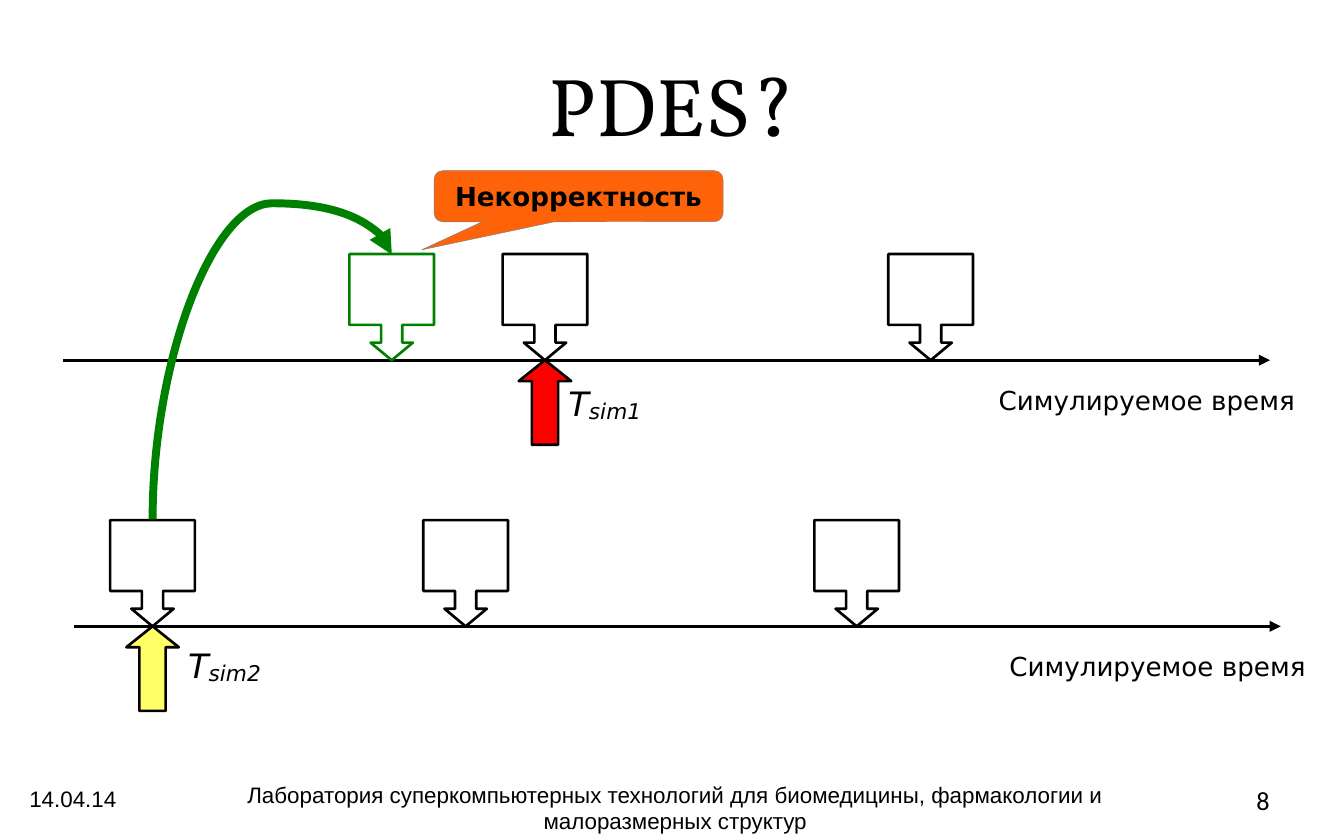
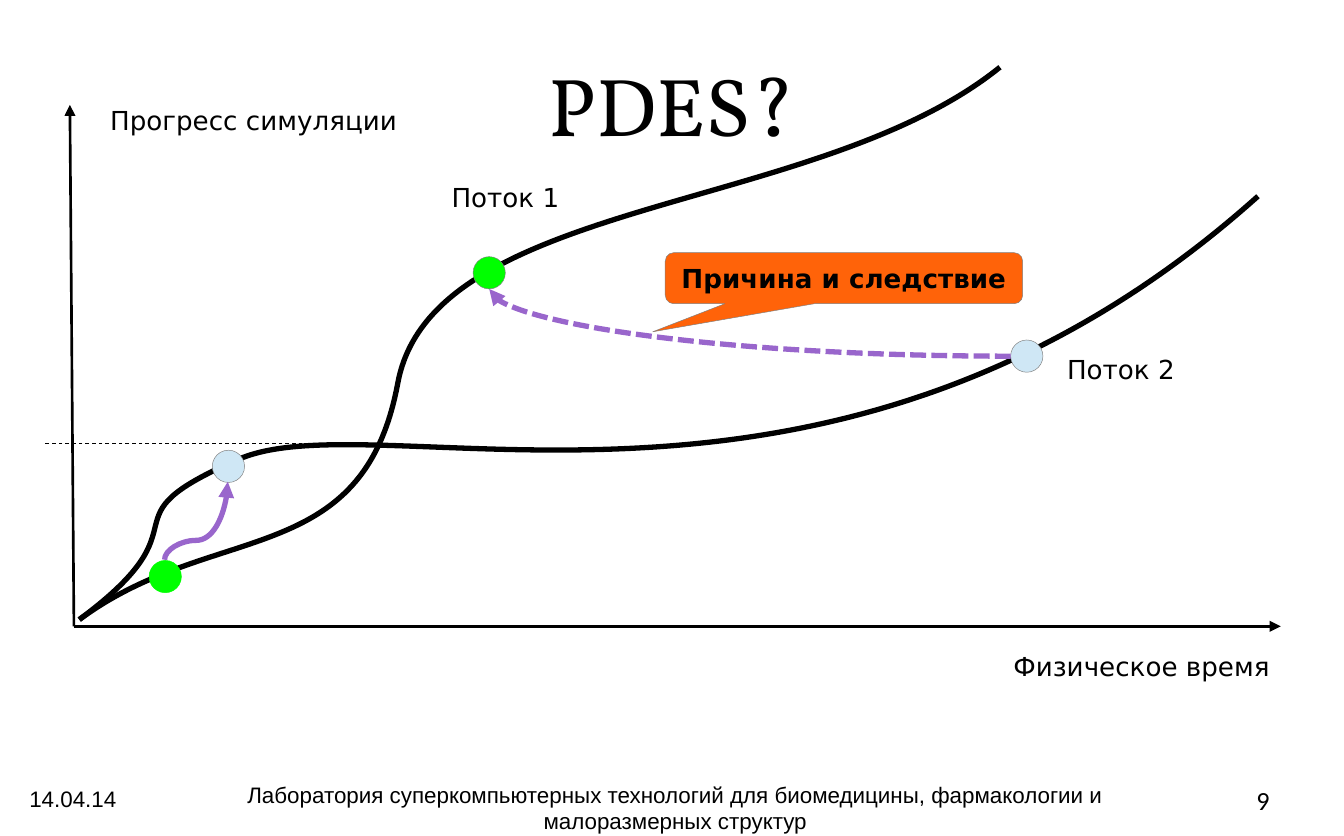
from pptx import Presentation
from pptx import util as u
from pptx.dml import color
from pptx.enum import dml, shapes, text
from pptx.oxml import ns, xmlchemy

BLACK, WHITE, GRAY = "000000", "FFFFFF", "808080"
GREEN, LIME, RED, YELLOW = "008000", "00FF00", "FF0000", "FFFF66"
ORANGE, PURPLE, PALE_BLUE = "FF6309", "9966CC", "CFE7F5"
LABEL = {"name": "DejaVu Sans", "size": u.Pt(14)}
FOOTER = {"name": "Arial", "size": u.Pt(12)}
HAIRLINE, THIN, THICK = 0.25, 1.42, 2.83
GROW = text.MSO_AUTO_SIZE.SHAPE_TO_FIT_TEXT
Inches = u.Inches


def paint(shape, line, width, fill=None, arrow=False, dash=None):
    """Set line and fill, then drop the shadow."""
    shape.line.color.rgb = color.RGBColor.from_string(line)
    shape.line.width = u.Pt(width)
    if dash:
        shape.line.dash_style = dash
    if arrow:
        tail = xmlchemy.OxmlElement("a:tailEnd")
        tail.set("type", "triangle")
        shape.line._get_or_add_ln().append(tail)
    if fill:
        shape.fill.solid()
        shape.fill.fore_color.rgb = color.RGBColor.from_string(fill)
    shape._element.spPr.append(xmlchemy.OxmlElement("a:effectLst"))


def write(shape, words, align="LEFT", inset=(0.11, 0.06), wrap=False, grow=None, **style):
    """Add a run of black text to the first paragraph."""
    frame = shape.text_frame
    frame.word_wrap = wrap
    frame.auto_size = grow
    frame.margin_left = frame.margin_right = Inches(inset[0])
    frame.margin_top = frame.margin_bottom = Inches(inset[1])
    paragraph = frame.paragraphs[0]
    paragraph.alignment = getattr(text.PP_ALIGN, align)
    run = paragraph.add_run()
    run.text = words
    run.font.color.rgb = color.RGBColor.from_string(BLACK)
    for attribute, value in style.items():
        setattr(run.font, attribute, value)
    return run


prs = Presentation()
prs.slide_width, prs.slide_height = Inches(10), Inches(6.22)

# Title and footer on both slides
footer = "Лаборатория суперкомпьютерных технологий для биомедицины, фармакологии и малоразмерных структур"
slides = []
for number in (8, 9):
    slide = prs.slides.add_slide(prs.slide_layouts[5])
    slides.append(slide)
    title = slide.shapes.title
    title.left, title.top, title.width, title.height = map(Inches, (0.5, 0.25, 9, 1.04))
    title.text_frame.vertical_anchor = text.MSO_ANCHOR.MIDDLE
    write(title, "PDES?", "CENTER", (0.1, 0.05), True, name="Vollkorn", size=u.Pt(44))
    for words, left, top, width, align, style in (
        ("14.04.14", 0.12, 5.79, 1.1, "LEFT", FOOTER),
        (footer, 1.14, 5.76, 7.77, "CENTER", FOOTER),
        (str(number), 9.25, 5.79, 0.56, "LEFT", {"name": "Calibri", "size": u.Pt(14)}),
    ):
        box = slide.shapes.add_textbox(Inches(left), Inches(top), Inches(width), Inches(0.33))
        write(box, words, align, (0.1, 0.05), True, **style)
timelines, progress = slides

# Slide 1: two timelines with events and current-time markers
for axis_left, axis_y, events, now_left, now_fill, index, now_label in (
    (0.47, 2.68, ((3.74, BLACK), (6.61, BLACK), (2.6, GREEN)), 3.86, RED, "sim1", (4.12, 2.76)),
    (0.55, 4.66, ((0.82, BLACK), (6.06, BLACK), (3.15, BLACK)), 0.94, YELLOW, "sim2", (1.29, 4.71)),
):
    axis = timelines.shapes.add_connector(
        shapes.MSO_CONNECTOR.STRAIGHT, Inches(axis_left), Inches(axis_y),
        Inches(axis_left + 8.98), Inches(axis_y))
    paint(axis, BLACK, THIN, arrow=True)

    for left, outline in events:
        event = timelines.shapes.add_shape(
            shapes.MSO_SHAPE.DOWN_ARROW_CALLOUT, Inches(left), Inches(axis_y - 0.79),
            Inches(0.63), Inches(0.79))
        for i, value in enumerate((0.25, 0.25, 0.208, 0.667)):
            event.adjustments[i] = value
        paint(event, outline, THIN, WHITE)

    now = timelines.shapes.add_shape(
        shapes.MSO_SHAPE.UP_ARROW, Inches(now_left), Inches(axis_y), Inches(0.39), Inches(0.63))
    now.adjustments[0], now.adjustments[1] = 0.5, 0.4
    paint(now, BLACK, THIN, now_fill)

    time_name = timelines.shapes.add_textbox(
        Inches(axis_left + 6.85), Inches(axis_y + 0.12), Inches(2.43), Inches(0.35))
    write(time_name, "Симулируемое время", grow=GROW, **LABEL)
    now_name = timelines.shapes.add_textbox(*map(Inches, now_label), Inches(0.8), Inches(0.54))
    write(now_name, "T", grow=GROW, name="DejaVu Sans", size=u.Pt(18), italic=True)
    subscript = write(now_name, index, grow=GROW, name="DejaVu Sans", size=u.Pt(20), italic=True)
    subscript._r.get_or_add_rPr().set("baseline", "-8000")

# Slide 2: axes and the dashed level
for start, end, look in (
    ((0.55, 4.66), (9.53, 4.66), {"width": THIN, "arrow": True}),
    ((0.55, 4.66), (0.52, 0.78), {"width": THIN, "arrow": True}),
    ((2.25, 3.3), (0.32, 3.3), {"width": 0.5, "dash": dml.MSO_LINE.DASH}),
):
    axis = progress.shapes.add_connector(
        shapes.MSO_CONNECTOR.STRAIGHT, *map(Inches, start + end))
    paint(axis, BLACK, **look)

# Thread curves: every three points after the start make one Bezier segment
for points in (
    ((0.59, 4.61), (1.59, 3.87), (2.7, 4.25), (2.96, 2.85), (3.22, 1.46), (6.08, 1.6), (7.44, 0.5)),
    ((0.59, 4.61), (1.59, 3.87), (0.71, 3.88), (1.77, 3.42), (2.82, 2.95), (6.18, 4.31), (9.36, 1.46)),
):
    outline = [(Inches(x), Inches(y)) for x, y in points]
    builder = progress.shapes.build_freeform(*outline[0])
    builder.add_line_segments(outline[1:], close=False)
    thread = builder.convert_to_shape()
    steps = list(thread._element.iter(ns.qn("a:lnTo")))
    for first in range(0, len(steps), 3):
        bezier = xmlchemy.OxmlElement("a:cubicBezTo")
        steps[first].addprevious(bezier)
        for step in steps[first:first + 3]:
            bezier.append(step[0])
            step.getparent().remove(step)
    thread.fill.background()
    paint(thread, BLACK, THICK)

for words, left, top, width in (
    ("Физическое время", 7.43, 4.78, 2.13),
    ("Прогресс симуляции", 0.71, 0.72, 2.36),
    ("Поток 1", 3.25, 1.29, 1.06),
    ("Поток 2", 7.83, 2.57, 1.06),
):
    name = progress.shapes.add_textbox(Inches(left), Inches(top), Inches(width), Inches(0.35))
    write(name, words, grow=GROW, **LABEL)

for left, top, fill, outline in (
    (1.58, 3.35, PALE_BLUE, GRAY),
    (1.11, 4.17, LIME, LIME),
    (7.52, 2.53, PALE_BLUE, GRAY),
    (3.52, 1.91, LIME, GRAY),
):
    moment = progress.shapes.add_shape(
        shapes.MSO_SHAPE.OVAL, Inches(left), Inches(top), Inches(0.24), Inches(0.24))
    paint(moment, outline, HAIRLINE, fill)

# Curved arrows between events on both slides
quarter_turn = {"rot": "5400000", "flipH": "1", "flipV": "1"}
for slide, (left, top, width, height), turn, preset, bend, look in (
    (timelines, (1.04, 1.99, 1.97, 1.78), quarter_turn, "curvedConnector3", 119400,
     {"line": GREEN, "width": 4.25}),
    (progress, (1.17, 3.64, 0.58, 0.47), quarter_turn, "curvedConnector3", 24900,
     {"line": PURPLE, "width": THICK}),
    (progress, (3.64, 2.15, 3.88, 0.5), {"rot": "10800000"}, "curvedConnector2", None,
     {"line": PURPLE, "width": THICK, "dash": dml.MSO_LINE.SQUARE_DOT}),
):
    message = slide.shapes.add_connector(
        shapes.MSO_CONNECTOR.CURVE, Inches(left), Inches(top),
        Inches(left + width), Inches(top + height))
    properties = message._element.spPr
    for attribute, value in turn.items():
        properties.find(ns.qn("a:xfrm")).set(attribute, value)
    geometry = properties.find(ns.qn("a:prstGeom"))
    geometry.set("prst", preset)
    if bend:
        guide = xmlchemy.OxmlElement("a:gd")
        guide.set("name", "adj1")
        guide.set("fmla", f"val {bend}")
        geometry.find(ns.qn("a:avLst")).append(guide)
    paint(message, arrow=True, **look)

# Orange remarks
for slide, words, left, top, width, pointer in (
    (timelines, "Некорректность", 3.23, 1.27, 2.15, -0.543),
    (progress, "Причина и следствие", 4.95, 1.88, 2.66, -0.535),
):
    remark = slide.shapes.add_shape(
        shapes.MSO_SHAPE.ROUNDED_RECTANGULAR_CALLOUT,
        Inches(left), Inches(top), Inches(width), Inches(0.38))
    for i, value in enumerate((pointer, 1.05, 0.167)):
        remark.adjustments[i] = value
    paint(remark, GRAY, HAIRLINE, ORANGE)
    write(remark, words, "CENTER", (0.1, 0.05), bold=True, **LABEL)

prs.save("out.pptx")
